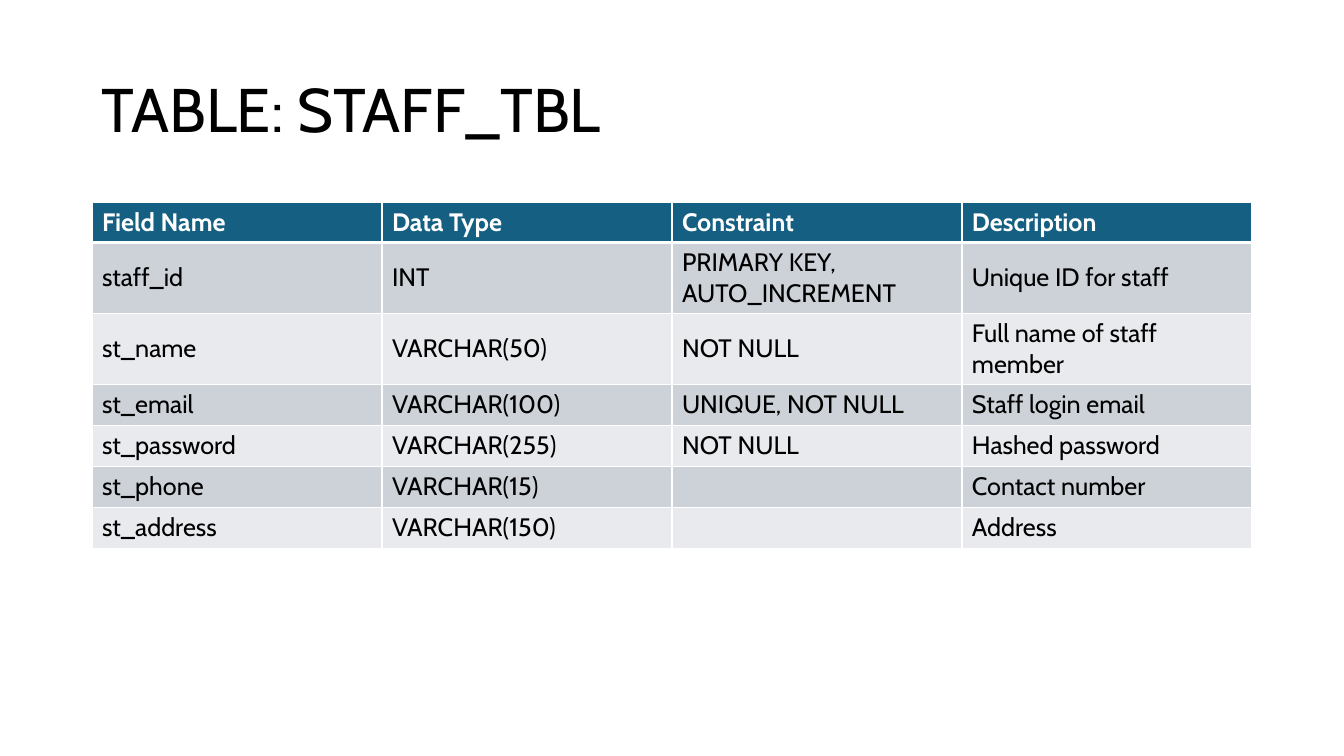
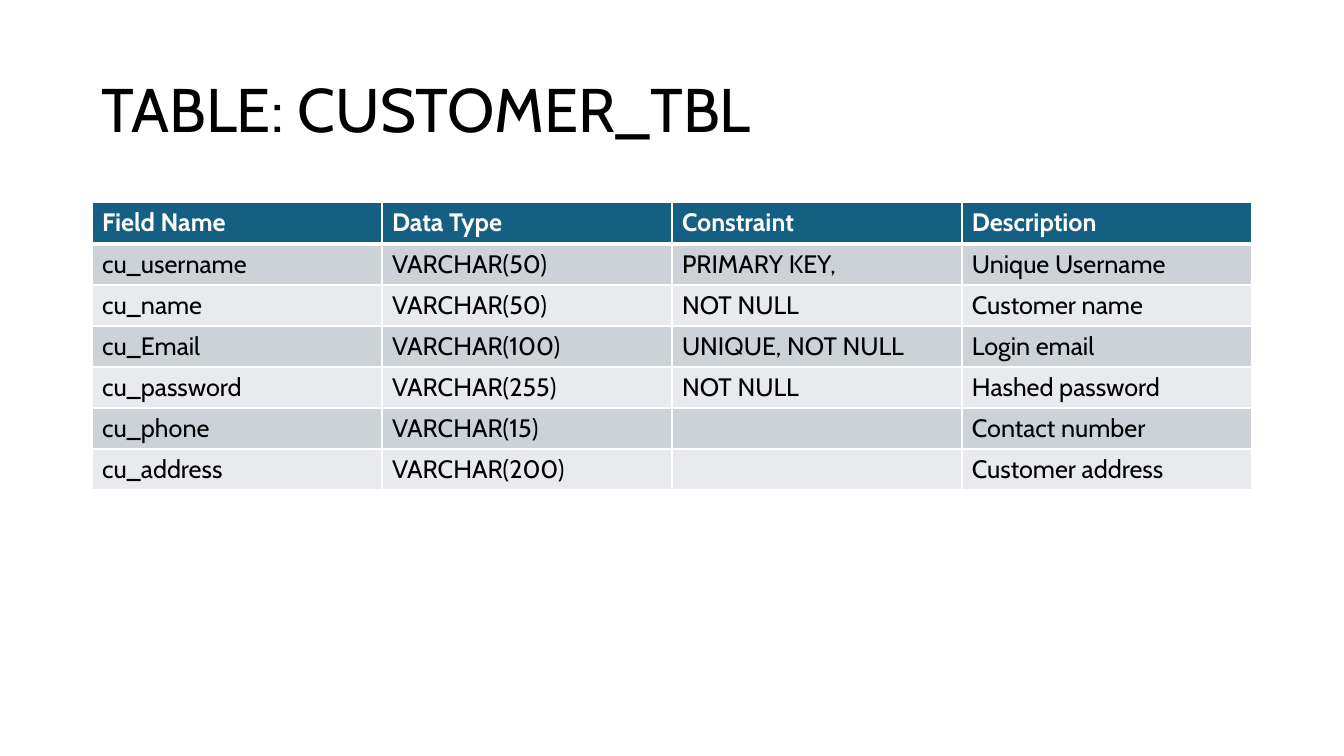
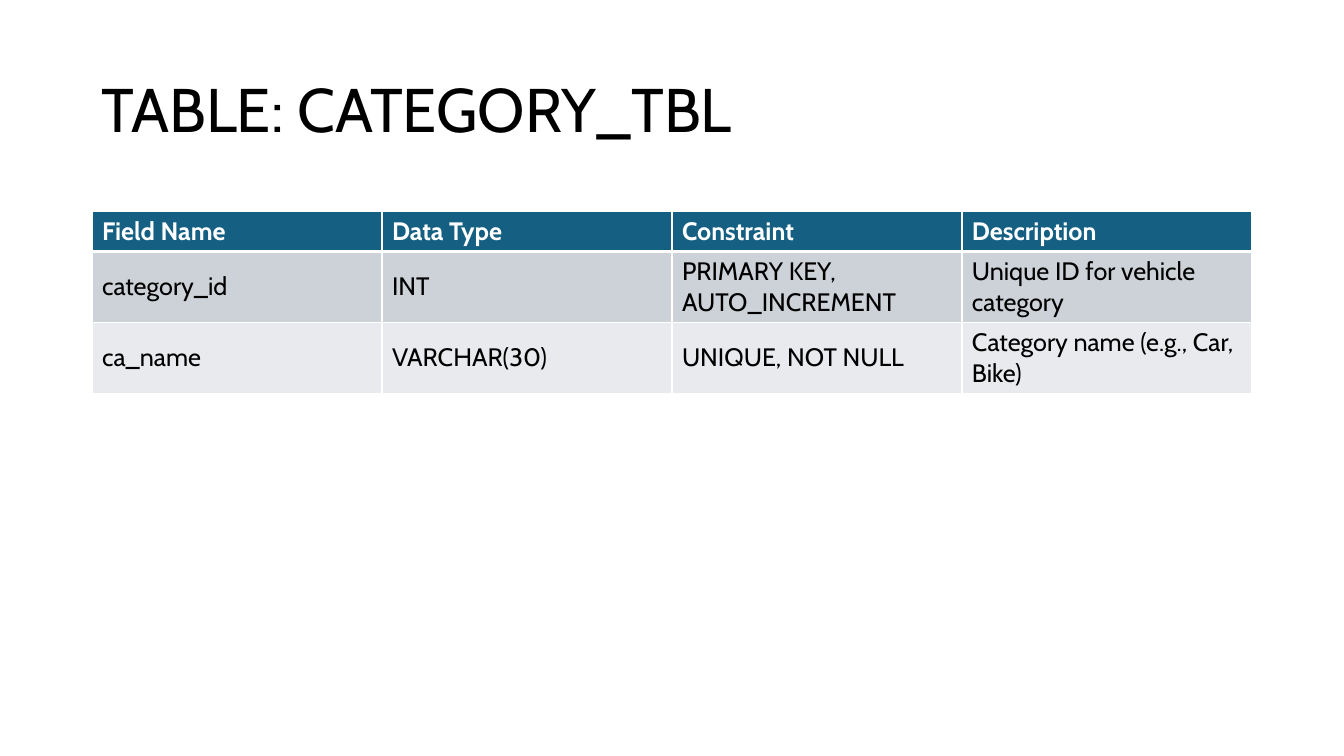
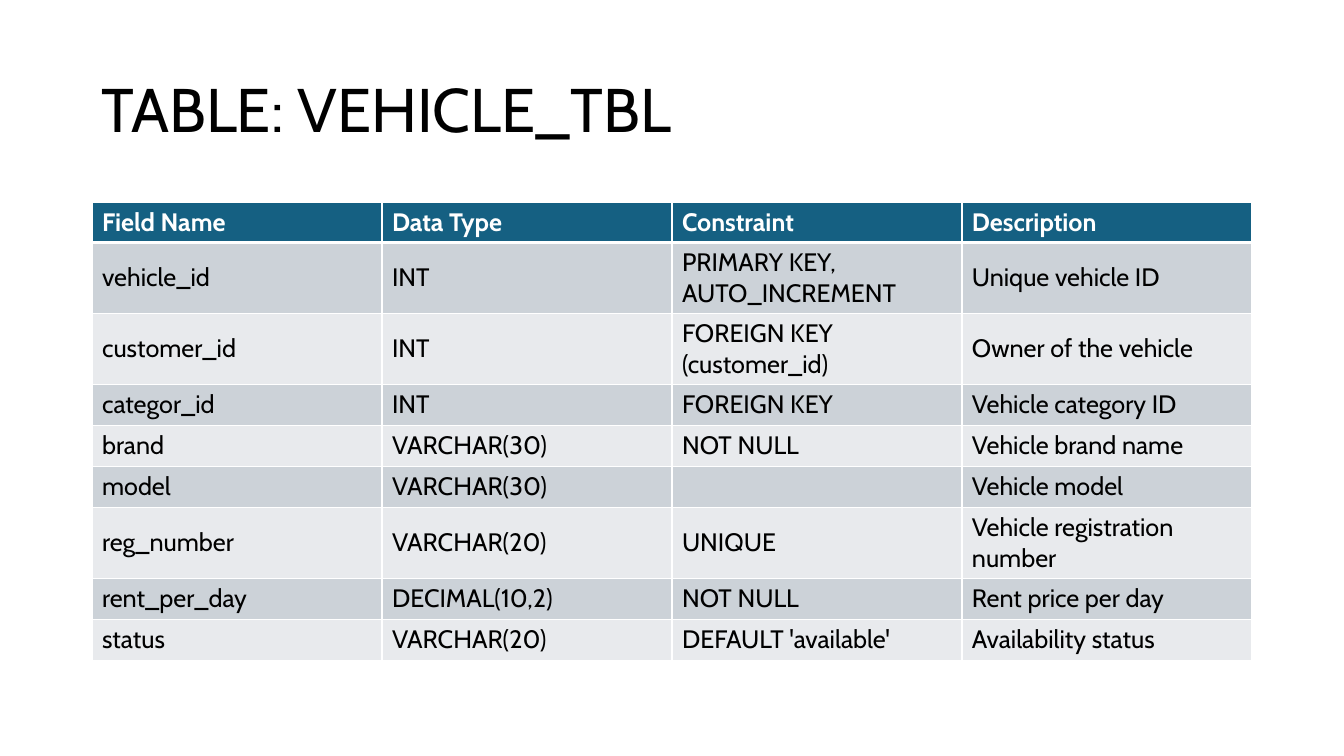
from lxml.etree import SubElement
from pptx import Presentation
from pptx.dml.color import RGBColor
from pptx.enum.text import MSO_ANCHOR
from pptx.oxml.ns import qn
from pptx.util import Emu, Pt

WHITE = RGBColor(0xFF, 0xFF, 0xFF)
BLACK = RGBColor(0x00, 0x00, 0x00)
HEADER_BLUE = RGBColor(0x15, 0x60, 0x82)
BANDS = [RGBColor(0xE8, 0xEA, 0xED), RGBColor(0xCC, 0xD2, 0xD8)]
FONT = "Cabin"
PX_PER_INCH = 100.8

LEFT, WIDTH = 92, 1160
LINE_ROW, TWO_LINE_ROW = 41, 71
FIELDS = ("Field Name", "Data Type", "Constraint", "Description")

SCHEMAS = [
    {
        "title": "TABLE: STAFF_TBL", "top": 202, "header": 40, "two_line": {1, 2},
        "rows": [
            ("staff_id", "INT", "PRIMARY KEY, AUTO_INCREMENT", "Unique ID for staff"),
            ("st_name", "VARCHAR(50)", "NOT NULL", "Full name of staff member"),
            ("st_email", "VARCHAR(100)", "UNIQUE, NOT NULL", "Staff login email"),
            ("st_password", "VARCHAR(255)", "NOT NULL", "Hashed password"),
            ("st_phone", "VARCHAR(15)", "", "Contact number"),
            ("st_address", "VARCHAR(150)", "", "Address"),
        ],
    },
    {
        "title": "TABLE: CUSTOMER_TBL", "top": 202, "header": 42, "two_line": set(),
        "rows": [
            ("cu_username", "VARCHAR(50)", "PRIMARY KEY,", "Unique Username"),
            ("cu_name", "VARCHAR(50)", "NOT NULL", "Customer name"),
            ("cu_Email", "VARCHAR(100)", "UNIQUE, NOT NULL", "Login email"),
            ("cu_password", "VARCHAR(255)", "NOT NULL", "Hashed password"),
            ("cu_phone", "VARCHAR(15)", "", "Contact number"),
            ("cu_address", "VARCHAR(200)", "", "Customer address"),
        ],
    },
    {
        "title": "TABLE: CATEGORY_TBL", "top": 211, "header": 40, "two_line": {1, 2},
        "rows": [
            ("category_id", "INT", "PRIMARY KEY, AUTO_INCREMENT", "Unique ID for vehicle category"),
            ("ca_name", "VARCHAR(30)", "UNIQUE, NOT NULL", "Category name (e.g., Car, Bike)"),
        ],
    },
    {
        "title": "TABLE: VEHICLE_TBL", "top": 202, "header": 40, "two_line": {1, 2, 6},
        "rows": [
            ("vehicle_id", "INT", "PRIMARY KEY, AUTO_INCREMENT", "Unique vehicle ID"),
            ("customer_id", "INT", "FOREIGN KEY (customer_id)", "Owner of the vehicle"),
            ("categor_id", "INT", "FOREIGN KEY", "Vehicle category ID"),
            ("brand", "VARCHAR(30)", "NOT NULL", "Vehicle brand name"),
            ("model", "VARCHAR(30)", "", "Vehicle model"),
            ("reg_number", "VARCHAR(20)", "UNIQUE", "Vehicle registration number"),
            ("rent_per_day", "DECIMAL(10,2)", "NOT NULL", "Rent price per day"),
            ("status", "VARCHAR(20)", "DEFAULT 'available'", "Availability status"),
        ],
    },
]


def px(length):
    return Emu(round(length * 914400 / PX_PER_INCH))


def set_text(frame, text, size, color, bold=False):
    frame.text = text
    frame.word_wrap = True
    for run in frame.paragraphs[0].runs:
        run.font.name = FONT
        run.font.size = Pt(size)
        run.font.bold = bold
        run.font.color.rgb = color


deck = Presentation()
deck.slide_width, deck.slide_height = px(1344), px(756)

for schema in SCHEMAS:
    slide = deck.slides.add_slide(deck.slide_layouts[6])
    title = slide.shapes.add_textbox(px(LEFT), px(40), px(WIDTH), px(146)).text_frame
    set_text(title, schema["title"], 44, BLACK)
    title.vertical_anchor = MSO_ANCHOR.MIDDLE
    title.paragraphs[0].line_spacing = 0.9

    rows = [FIELDS] + schema["rows"]
    heights = [TWO_LINE_ROW if r in schema["two_line"] else LINE_ROW for r in range(len(rows))]
    heights[0] = schema["header"]
    table = slide.shapes.add_table(
        len(rows), len(FIELDS), px(LEFT), px(schema["top"]), px(WIDTH), px(sum(heights))
    ).table
    for column in table.columns:
        column.width = px(WIDTH // len(FIELDS))

    for r, (values, height) in enumerate(zip(rows, heights)):
        is_header = r == 0
        table.rows[r].height = px(height)
        for c, value in enumerate(values):
            cell = table.cell(r, c)
            cell.vertical_anchor = MSO_ANCHOR.MIDDLE
            set_text(cell.text_frame, value, 18, WHITE if is_header else BLACK, is_header)
            for side in ("L", "R", "T", "B"):
                under_header = (r, side) in ((0, "B"), (1, "T"))
                border = SubElement(cell._tc.get_or_add_tcPr(), qn(f"a:ln{side}"))
                border.set("w", str(Pt(3 if under_header else 1)))
                SubElement(SubElement(border, qn("a:solidFill")), qn("a:srgbClr")).set("val", str(WHITE))
            cell.fill.solid()
            cell.fill.fore_color.rgb = HEADER_BLUE if is_header else BANDS[r % 2]

deck.save("out.pptx")
